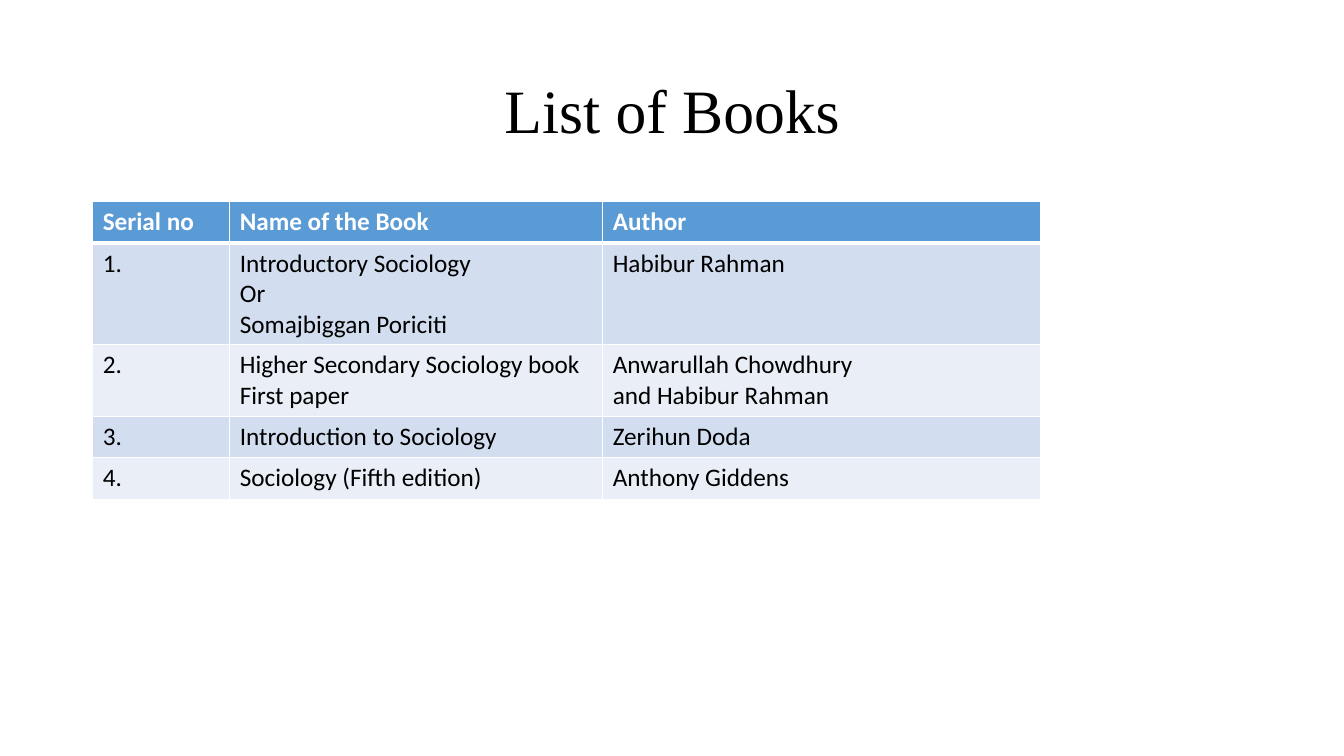
"""Build the "List of Books" slide: a centred title above a table of sociology books."""
import dataclasses
import typing

import lxml.etree
import pptx
import pptx.dml.color
import pptx.enum.text
import pptx.oxml.ns
import pptx.util

WHITE = pptx.dml.color.RGBColor(0xFF, 0xFF, 0xFF)
BLACK = pptx.dml.color.RGBColor(0x00, 0x00, 0x00)
HEADING_BLUE = pptx.dml.color.RGBColor(0x5B, 0x9B, 0xD5)
BANDS = (
    pptx.dml.color.RGBColor(0xD2, 0xDE, 0xEF),
    pptx.dml.color.RGBColor(0xEA, 0xEF, 0xF7),
)

SLIDE_WIDTH = pptx.util.Inches(13.33)
SLIDE_HEIGHT = pptx.util.Inches(7.5)
GRID = 100
MARGIN = 6.9
COLUMN_SPANS = (10.2, 27.75, 32.55)
TABLE_TOP = 26.67
LINE_ROWS = 4
PADDING_ROWS = 1.47

TITLE_FONT = {"name": "Times New Roman", "size": pptx.util.Pt(44)}
HEADING_FONT = {"name": "Calibri", "size": pptx.util.Pt(18), "bold": True}
BODY_FONT = {**HEADING_FONT, "bold": False}


@dataclasses.dataclass(frozen=True)
class Entry:
    """One row of the book list."""

    serial: str
    book: str
    author: str

    def texts(self) -> tuple[str, str, str]:
        """Return the cell texts from left to right."""
        return self.serial, self.book, self.author

    def line_count(self) -> int:
        """Return the number of lines in the tallest cell."""
        return max(text.count("\n") + 1 for text in self.texts())


ENTRIES = (
    Entry("Serial no", "Name of the Book", "Author"),
    Entry("1.", "Introductory Sociology\nOr\nSomajbiggan Poriciti", "Habibur Rahman"),
    Entry(
        "2.",
        "Higher Secondary Sociology book\nFirst paper",
        "Anwarullah Chowdhury\nand Habibur Rahman",
    ),
    Entry("3.", "Introduction to Sociology", "Zerihun Doda"),
    Entry("4.", "Sociology (Fifth edition)", "Anthony Giddens"),
)


def across(columns: float) -> int:
    """Convert grid columns to a length."""
    return round(SLIDE_WIDTH * columns / GRID)


def down(rows: float) -> int:
    """Convert grid rows to a length."""
    return round(SLIDE_HEIGHT * rows / GRID)


def write(
    frame: typing.Any,
    text: str,
    font: dict[str, typing.Any],
    colour: pptx.dml.color.RGBColor,
    **layout: typing.Any,
) -> None:
    """Fill a text frame, one paragraph per line, in the given format."""
    frame.text = text
    for paragraph in frame.paragraphs:
        for attribute, setting in layout.items():
            setattr(paragraph, attribute, setting)
        for run in paragraph.runs:
            for attribute, setting in font.items():
                setattr(run.font, attribute, setting)
            run.font.color.rgb = colour


def rule_cell(cell: typing.Any, widths: dict[str, float]) -> None:
    """Draw white rules on the sides of a table cell."""
    properties = cell._tc.get_or_add_tcPr()
    qualify = pptx.oxml.ns.qn
    for side, width in widths.items():
        rule = lxml.etree.SubElement(
            properties, qualify(f"a:ln{side}"), w=str(pptx.util.Pt(width))
        )
        solid = lxml.etree.SubElement(rule, qualify("a:solidFill"))
        lxml.etree.SubElement(solid, qualify("a:srgbClr"), val=str(WHITE))


def add_title(slide: typing.Any) -> None:
    """Place the slide title."""
    title = slide.shapes.add_textbox(
        across(MARGIN), down(5.33), across(86.25), down(19.33)
    ).text_frame
    title.word_wrap = True
    title.vertical_anchor = pptx.enum.text.MSO_ANCHOR.MIDDLE
    write(
        title, "List of Books", TITLE_FONT, BLACK,
        alignment=pptx.enum.text.PP_ALIGN.CENTER, line_spacing=0.9,
    )


def add_book_list(slide: typing.Any) -> None:
    """Place the table of books."""
    heights = [down(PADDING_ROWS + LINE_ROWS * entry.line_count()) for entry in ENTRIES]
    books = slide.shapes.add_table(
        len(ENTRIES), len(COLUMN_SPANS), across(MARGIN), down(TABLE_TOP),
        across(sum(COLUMN_SPANS)), sum(heights),
    ).table
    for column, span in zip(books.columns, COLUMN_SPANS):
        column.width = across(span)
    for index, (entry, height) in enumerate(zip(ENTRIES, heights)):
        heading = index == 0
        books.rows[index].height = height
        rules = {
            "L": 1, "R": 1, "T": 3 if index == 1 else 1, "B": 3 if heading else 1,
        }
        for cell, text in zip(books.rows[index].cells, entry.texts()):
            rule_cell(cell, rules)
            cell.fill.solid()
            cell.fill.fore_color.rgb = HEADING_BLUE if heading else BANDS[(index - 1) % 2]
            write(
                cell.text_frame, text,
                HEADING_FONT if heading else BODY_FONT, WHITE if heading else BLACK,
            )


def main() -> None:
    """Create and save the presentation."""
    presentation = pptx.Presentation()
    presentation.slide_width = SLIDE_WIDTH
    presentation.slide_height = SLIDE_HEIGHT
    slide = presentation.slides.add_slide(presentation.slide_layouts[6])
    add_title(slide)
    add_book_list(slide)
    presentation.save("out.pptx")


if __name__ == "__main__":
    main()
